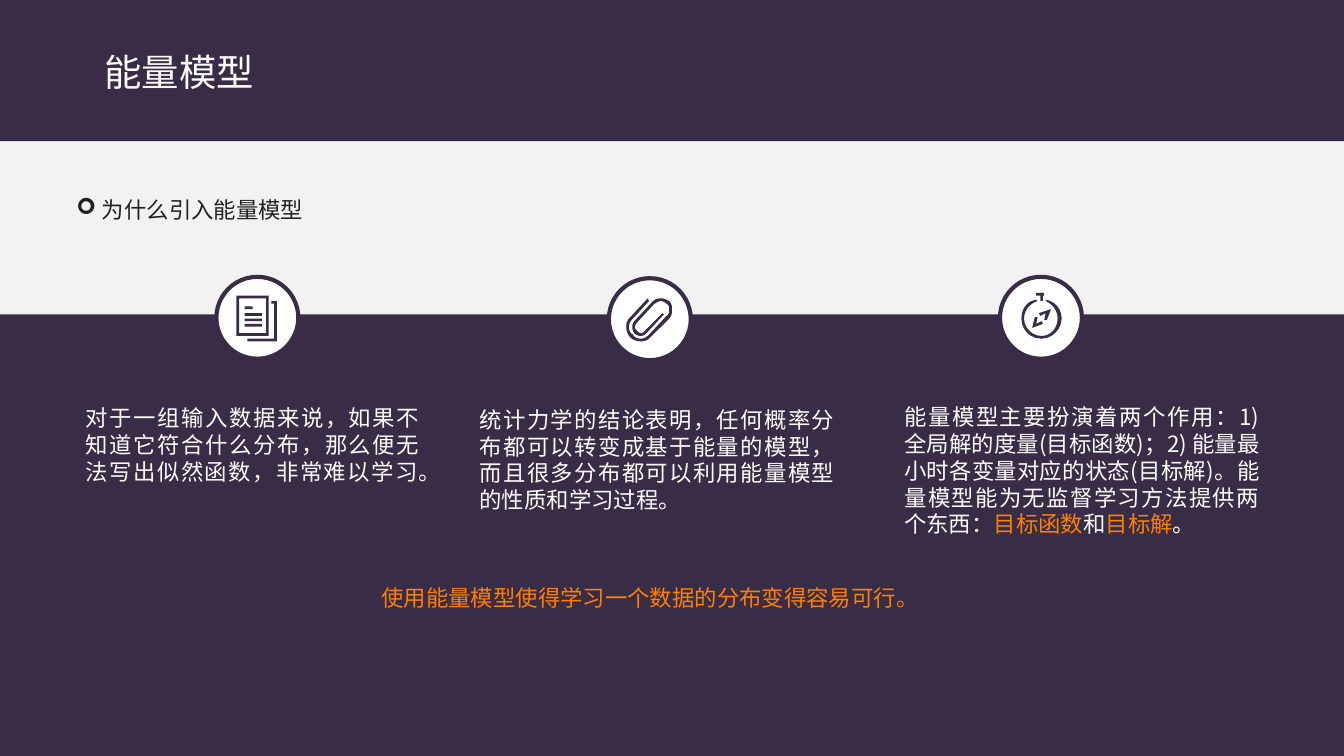
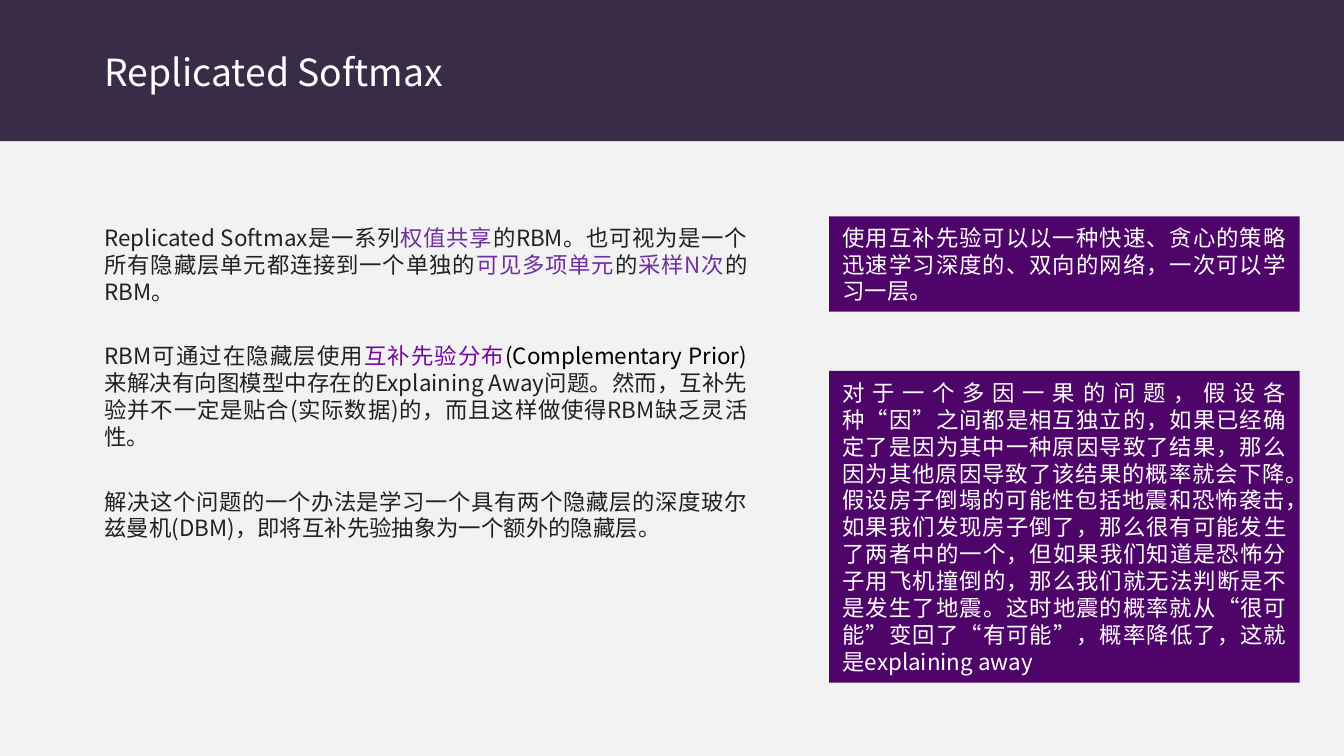
from lxml import etree
from pptx import Presentation
from pptx import util as u
from pptx.dml.color import RGBColor
from pptx.enum import lang, shapes, text
from pptx.oxml import ns

PLUM, PAPER, WHITE, INK = "392C47", "F2F2F2", "FFFFFF", "212121"
ORANGE, VIOLET, PURPLE, GRAPE = "FF7F01", "7030A0", "76079D", "4E0468"
FONT = "Noto Sans CJK SC"
RECTANGLE = shapes.MSO_SHAPE.RECTANGLE
JUSTIFY = text.PP_ALIGN.JUSTIFY


def paint(shape, fill, line=None):
    shape.shadow.inherit = False
    shape.fill.solid()
    shape.fill.fore_color.rgb = RGBColor.from_string(fill)
    if line:
        shape.line.color.rgb = RGBColor.from_string(line)
        shape.line.width = u.Pt(2.25)
    else:
        shape.line.fill.background()


def write(shape, paragraphs, color=WHITE, size=12, font=FONT, align=None, bullet=None, wrap=True):
    frame = shape.text_frame
    frame.word_wrap = wrap
    frame.auto_size = text.MSO_AUTO_SIZE.SHAPE_TO_FIT_TEXT
    for index, runs in enumerate(paragraphs):
        paragraph = frame.add_paragraph() if index else frame.paragraphs[0]
        if align is not None:
            paragraph.alignment = align
        if bullet:
            properties = paragraph._p.get_or_add_pPr()
            properties.set("marL", str(u.Inches(0.19)))
            properties.set("indent", str(u.Inches(-0.19)))
            etree.SubElement(properties, ns.qn("a:buFont")).set("typeface", "Wingdings")
            etree.SubElement(properties, ns.qn("a:buChar")).set("char", bullet)
        for piece in runs:
            words, shade = (piece, color) if isinstance(piece, str) else piece
            run = paragraph.add_run()
            run.text = words
            run.font.size = u.Pt(size)
            run.font.color.rgb = RGBColor.from_string(shade)
            run.font.name = font
            run.font.language_id = lang.MSO_LANGUAGE_ID.SIMPLIFIED_CHINESE
            etree.SubElement(run.font._element, ns.qn("a:ea")).set("typeface", FONT)


presentation = Presentation()
presentation.slide_width = u.Inches(10)
presentation.slide_height = presentation.slide_width * 9 // 16

slides = []
for title, title_width, title_font in [
    ("能量模型", 1.32, "Quicksand"),
    ("Replicated Softmax", 2.87, FONT),
]:
    slide = presentation.slides.add_slide(presentation.slide_layouts[6])
    slide.background.fill.solid()
    slide.background.fill.fore_color.rgb = RGBColor.from_string(PAPER)
    band = slide.shapes.add_shape(RECTANGLE, 0, 0, u.Inches(10), u.Inches(1.05))
    paint(band, PLUM)
    box = slide.shapes.add_textbox(u.Inches(0.68), u.Inches(0.32), u.Inches(title_width), u.Inches(0.44))
    write(box, [[title]], size=20, font=title_font, wrap=False)
    slides.append(slide)

energy, softmax = slides

floor_top = u.Inches(2.34)
band = energy.shapes.add_shape(
    RECTANGLE, 0, floor_top, u.Inches(10), presentation.slide_height - floor_top)
paint(band, PLUM)

page_front = [
    [(2, 2.5), (1.76, 2.5), (1.76, 2.2), (2, 2.2)],
    [(1.78, 2.48), (1.98, 2.48), (1.98, 2.22), (1.78, 2.22)],
]
page_back = [[(2.06, 2.54), (1.84, 2.54), (1.84, 2.52), (2.04, 2.52),
              (2.04, 2.26), (2.02, 2.26), (2.02, 2.24), (2.06, 2.24)]]
clip = [[
    (4.77, 2.54), (4.74, 2.54, 4.71, 2.53, 4.69, 2.51), (4.67, 2.49, 4.66, 2.46, 4.66, 2.43),
    (4.66, 2.4, 4.67, 2.38, 4.69, 2.36), (4.82, 2.22), (4.83, 2.24), (4.71, 2.37),
    (4.69, 2.39, 4.68, 2.41, 4.68, 2.43), (4.68, 2.46, 4.69, 2.48, 4.71, 2.49),
    (4.72, 2.51, 4.74, 2.52, 4.77, 2.52), (4.79, 2.52, 4.81, 2.51, 4.83, 2.49), (4.96, 2.35),
    (4.98, 2.34, 4.98, 2.32, 4.98, 2.3), (4.98, 2.29, 4.98, 2.27, 4.96, 2.26),
    (4.95, 2.25, 4.93, 2.24, 4.92, 2.24), (4.9, 2.24, 4.89, 2.25, 4.87, 2.26), (4.74, 2.4),
    (4.72, 2.42, 4.72, 2.45, 4.74, 2.46), (4.75, 2.47, 4.76, 2.48, 4.77, 2.48),
    (4.78, 2.48, 4.79, 2.47, 4.8, 2.46), (4.93, 2.33), (4.94, 2.34), (4.81, 2.48),
    (4.8, 2.49, 4.78, 2.5, 4.77, 2.5), (4.75, 2.5, 4.73, 2.49, 4.72, 2.48),
    (4.7, 2.45, 4.7, 2.41, 4.72, 2.39), (4.86, 2.24), (4.87, 2.23, 4.89, 2.22, 4.92, 2.22),
    (4.94, 2.22, 4.96, 2.23, 4.98, 2.24), (5, 2.26, 5, 2.28, 5, 2.3),
    (5, 2.33, 5, 2.35, 4.98, 2.37), (4.84, 2.51), (4.82, 2.53, 4.8, 2.54, 4.77, 2.54),
]]
dial = [[
    (7.75, 2.52), (7.66, 2.52, 7.6, 2.45, 7.6, 2.37), (7.6, 2.3, 7.64, 2.24, 7.71, 2.23),
    (7.72, 2.24), (7.66, 2.26, 7.62, 2.31, 7.62, 2.37), (7.62, 2.44, 7.68, 2.5, 7.75, 2.5),
    (7.82, 2.5, 7.87, 2.44, 7.87, 2.37), (7.87, 2.31, 7.83, 2.26, 7.78, 2.24), (7.78, 2.23),
    (7.85, 2.24, 7.9, 2.3, 7.9, 2.37), (7.9, 2.45, 7.83, 2.52, 7.75, 2.52),
]]
needle_south = [[(7.68, 2.44), (7.7, 2.36), (7.72, 2.36), (7.71, 2.41), (7.75, 2.39), (7.76, 2.41)]]
needle_north = [[(7.79, 2.38), (7.77, 2.38), (7.78, 2.33), (7.74, 2.35), (7.73, 2.33), (7.82, 2.3)]]
text_lines = [(1.82, top, 0.13, 0.02) for top in (2.33, 2.37, 2.41)] + [(1.82, 2.28, 0.06, 0.02)]
crown = [(7.74, 2.18, 0.02, 0.06), (7.71, 2.18, 0.06, 0.02)]

for left, top, outlines, bars in [
    (1.61, 2.06, [page_front, page_back], text_lines),
    (4.53, 2.07, [clip], []),
    (7.44, 2.06, [dial, needle_south, needle_north], crown),
]:
    badge = energy.shapes.add_shape(
        shapes.MSO_SHAPE.OVAL, u.Inches(left), u.Inches(top), u.Inches(0.61), u.Inches(0.61))
    paint(badge, WHITE, PLUM)
    icon = energy.shapes.add_group_shape().shapes if bars else energy.shapes
    for outline in outlines:
        builder = None
        for contour in outline:
            points = [contour[0]]
            for step in contour[1:]:
                if len(step) == 2:
                    points.append(step)
                    continue
                controls = [points[-1], step[:2], step[2:4], step[4:]]
                for part in range(1, 7):
                    t = part / 6
                    weights = [(1 - t) ** 3, 3 * t * (1 - t) ** 2, 3 * t * t * (1 - t), t ** 3]
                    points.append(tuple(
                        sum(w * c[axis] for w, c in zip(weights, controls)) for axis in (0, 1)))
            corners = [(u.Inches(x), u.Inches(y)) for x, y in points]
            if builder is None:
                builder = icon.build_freeform(*corners[0])
            else:
                builder.move_to(*corners[0])
            builder.add_line_segments(corners[1:], close=True)
        paint(builder.convert_to_shape(), PLUM)
    for bar in bars:
        paint(icon.add_shape(RECTANGLE, *map(u.Inches, bar)), PLUM)

box = energy.shapes.add_textbox(u.Inches(0.47), u.Inches(1.41), u.Inches(8.55), u.Inches(0.3))
write(box, [["为什么引入能量模型"]], color=INK, bullet="➢")

passages = [
    (energy, (0.54, 2.96, 2.68, 0.71), WHITE,
     ["对于一组输入数据来说，如果不知道它符合什么分布，那么便无法写出似然函数，非常难以学习。"]),
    (energy, (3.47, 2.97, 2.84, 0.91), WHITE,
     ["统计力学的结论表明，任何概率分布都可以转变成基于能量的模型，"
      "而且很多分布都可以利用能量模型的性质和学习过程。"]),
    (energy, (6.63, 2.95, 2.84, 1.11), WHITE,
     ["能量模型主要扮演着两个作用：1) 全局解的度量(目标函数)；2) 能量最小时各变量对应的状态(目标解)。"
      "能量模型能为无监督学习方法提供两个东西：",
      ("目标函数", ORANGE), "和", ("目标解", ORANGE), "。"]),
    (energy, (2.74, 4.3, 4.64, 0.3), ORANGE,
     ["使用能量模型使得学习一个数据的分布变得容易可行。"]),
    (softmax, (0.68, 1.62, 4.98, 0.71), INK,
     ["Replicated Softmax是一系列", ("权值共享", VIOLET),
      "的RBM。也可视为是一个所有隐藏层单元都连接到一个单独的",
      ("可见多项单元", VIOLET), "的", ("采样N次", VIOLET), "的RBM。"]),
    (softmax, (0.68, 2.5, 4.98, 0.91), INK,
     ["RBM可通过在隐藏层使用", ("互补先验分布", PURPLE), ("(Complementary Prior)", "000000"),
      "来解决有向图模型中存在的Explaining Away问题。然而，互补先验并不一定是贴合(实际数据)的，"
      "而且这样做使得RBM缺乏灵活性。"]),
    (softmax, (0.68, 3.58, 4.98, 0.5), INK,
     ["解决这个问题的一个办法是学习一个具有两个隐藏层的深度玻尔兹曼机(DBM)，"
      "即将互补先验抽象为一个额外的隐藏层。"]),
]
for slide, place, color, runs in passages:
    box = slide.shapes.add_textbox(*map(u.Inches, place))
    write(box, [runs], color=color, align=JUSTIFY)

panels = [
    (1.61, 0.71, [
        ["使用互补先验可以以一种快速、贪心的策略迅速学习深度的、双向的网络，一次可以学习一层。"]]),
    (2.76, 2.32, [
        ["对于一个多因一果的问题，假设各种“因”之间都是相互独立的，"
         "如果已经确定了是因为其中一种原因导致了结果，那么因为其他原因导致了该结果的概率就会下降。"],
        ["假设房子倒塌的可能性包括地震和恐怖袭击，如果我们发现房子倒了，那么很有可能发生了两者中的一个，"
         "但如果我们知道是恐怖分子用飞机撞倒的，那么我们就无法判断是不是发生了地震。"
         "这时地震的概率就从“很可能”变回了“有可能”，概率降低了，这就是explaining away"]]),
]
for top, height, paragraphs in panels:
    panel = softmax.shapes.add_shape(
        RECTANGLE, u.Inches(6.17), u.Inches(top), u.Inches(3.5), u.Inches(height))
    paint(panel, GRAPE)
    write(panel, paragraphs, align=JUSTIFY)

presentation.save("out.pptx")
